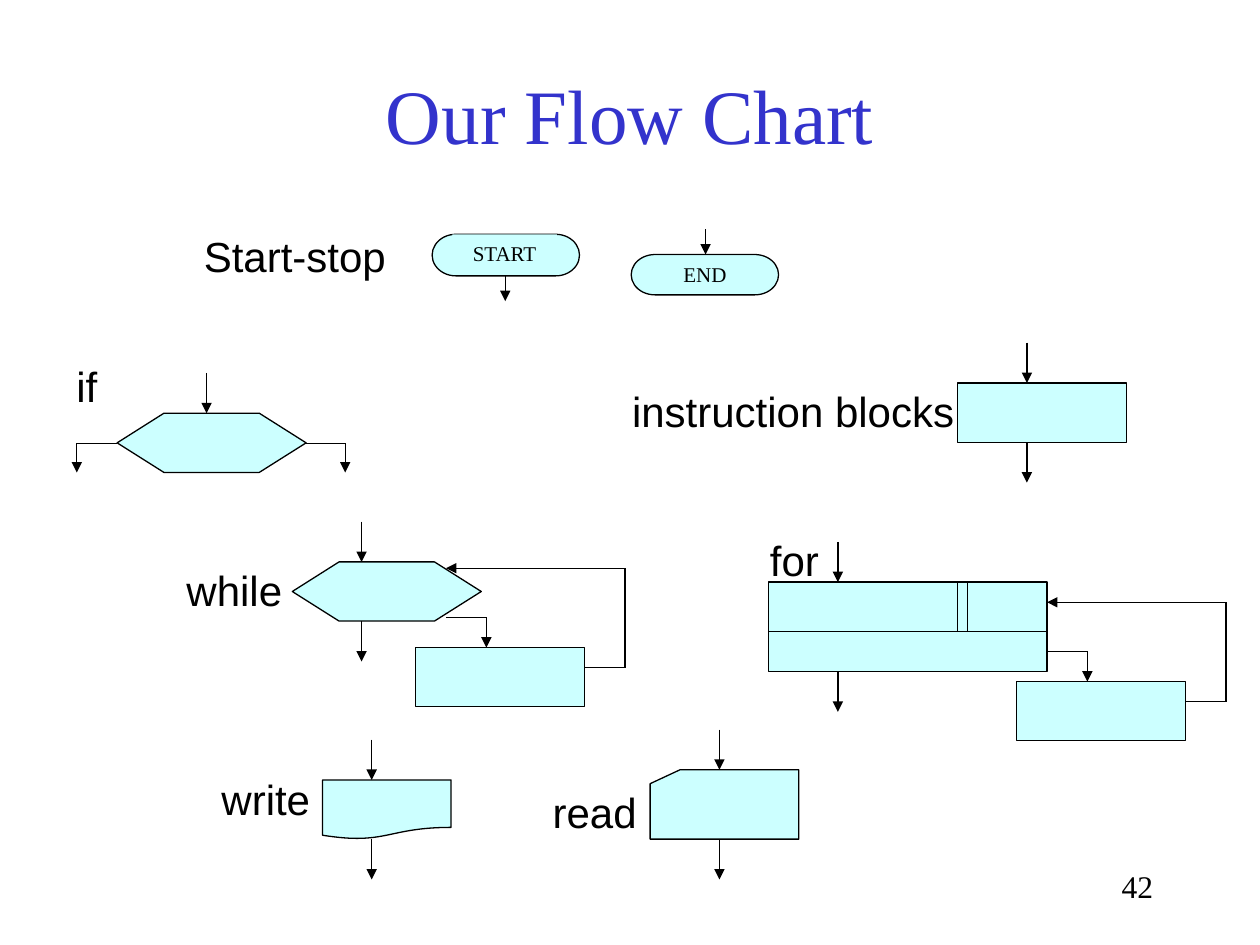
import itertools
import pptx
import pptx.util
from lxml import etree
from pptx.dml.color import RGBColor
from pptx.enum.shapes import MSO_CONNECTOR, MSO_SHAPE
from pptx.enum.text import MSO_ANCHOR, MSO_AUTO_SIZE, PP_ALIGN
from pptx.oxml.ns import qn

TITLE_BLUE = RGBColor(0x33, 0x33, 0xCC)
SYMBOL_FILL = RGBColor(0xCC, 0xFF, 0xFF)
BLACK = RGBColor(0, 0, 0)
SERIF, SANS = "Times New Roman", "Arial"

# The slide is a grid of 10 columns by 7.5 rows; all lengths are in cells
COLUMNS, ROWS = 10, 7.5
STUB = 0.32             # arrow into or out of a symbol
SHORT_STUB = 0.2        # the same for START and END
BODY = (1.34, 0.47)     # plain instruction block

TITLE = "Our Flow Chart"
PAGE_NUMBER = "42"

# Symbol, left, top, width, height, x of the flow line, arrow in, arrow out
SYMBOLS = [
    (MSO_SHAPE.RECTANGLE, 7.6, 3.04, *BODY, 8.15, STUB, STUB),
    (MSO_SHAPE.HEXAGON, 0.93, 3.28, 1.5, 0.47, 1.64, STUB, 0),
    (MSO_SHAPE.HEXAGON, 2.32, 4.46, 1.5, 0.47, 2.87, STUB, STUB),
    (MSO_SHAPE.RECTANGLE, 6.1, 4.62, 2.21, 0.71, 6.65, STUB, STUB),
    (MSO_SHAPE.FLOWCHART_CARD, 5.16, 6.11, 1.18, 0.55, 5.71, STUB, STUB),
    (MSO_SHAPE.FLOWCHART_DOCUMENT, 2.56, 6.19, 1.02, 0.47, 2.95, STUB, STUB),
    (MSO_SHAPE.FLOWCHART_TERMINATOR, 3.43, 1.86, 1.17, 0.33, 4.01, 0, SHORT_STUB),
    (MSO_SHAPE.FLOWCHART_TERMINATOR, 5.01, 2.02, 1.17, 0.32, 5.6, SHORT_STUB, 0),
]

# Text, left, top, width
LABELS = [
    ("Start-stop", 1.52, 1.78, 1.64),
    ("instruction blocks", 4.92, 3.01, 2.75),
    ("if", 0.51, 2.81, 0.36),
    ("for", 6.01, 4.19, 0.59),
    ("while", 1.38, 4.43, 0.96),
    ("read", 4.29, 6.19, 0.86),
    ("write", 1.66, 6.09, 0.9),
]
TERMINAL_TEXTS = [("START", 3.59, 1.86), ("END", 5.18, 2.03)]

# Points where each loop leaves its symbol: while, for
LOOP_EXITS = [(3.54, 4.9), (8.31, 5.17)]

# Branches of the if symbol
BRANCHES = [[(0.93, 3.52), (0.61, 3.52), (0.61, 3.75)],
            [(2.42, 3.52), (2.74, 3.52), (2.74, 3.75)]]

# Inner lines of the for symbol
DIVIDERS = [[(6.1, 5.01), (8.31, 5.01)],
            [(7.6, 4.62), (7.6, 5.01)],
            [(7.68, 4.62), (7.68, 5.01)]]

deck = pptx.Presentation()
deck.slide_width = pptx.util.Inches(10)
deck.slide_height = pptx.util.Inches(7.5)
slide = deck.slides.add_slide(deck.slide_layouts[5])


def across(columns):
    return round(deck.slide_width * columns / COLUMNS)


def down(rows):
    return round(deck.slide_height * rows / ROWS)


def place(left, top, width, height):
    return across(left), down(top), across(width), down(height)


def write(frame, text, size, font, color, align=PP_ALIGN.CENTER,
          anchor=MSO_ANCHOR.TOP, wrap=True):
    frame.text = text
    frame.word_wrap = wrap
    frame.auto_size = MSO_AUTO_SIZE.NONE
    frame.vertical_anchor = anchor
    paragraph = frame.paragraphs[0]
    paragraph.alignment = align
    paragraph.font.size = pptx.util.Pt(size)
    paragraph.font.name = font
    paragraph.font.color.rgb = color


def add_symbol(kind, box, outlined=True):
    symbol = slide.shapes.add_shape(kind, *place(*box))
    symbol.shadow.inherit = False
    symbol.fill.solid()
    symbol.fill.fore_color.rgb = SYMBOL_FILL
    if outlined:
        symbol.line.color.rgb = BLACK
        symbol.line.width = pptx.util.Pt(0.75)
    else:
        symbol.line.fill.background()
    return symbol


def add_route(points, arrow=True):
    """Join the points with straight lines, the last one with an arrowhead."""
    for (x1, y1), (x2, y2) in itertools.pairwise(points):
        line = slide.shapes.add_connector(
            MSO_CONNECTOR.STRAIGHT, across(x1), down(y1), across(x2), down(y2))
        line.line.color.rgb = BLACK
        line.line.width = pptx.util.Pt(0.75)
        etree.SubElement(line._element.spPr, qn("a:effectLst"))
    if arrow:
        etree.SubElement(line.line._get_or_add_ln(), qn("a:tailEnd"), type="triangle")


# Title
title = slide.shapes.title
title.left, title.top, title.width, title.height = place(0.75, 0.28, 8.5, 1.25)
write(title.text_frame, TITLE, 44, SERIF, TITLE_BLUE, anchor=MSO_ANCHOR.MIDDLE)

# Symbols with their incoming and outgoing arrows
for kind, left, top, width, height, flow, arrow_in, arrow_out in SYMBOLS:
    symbol = add_symbol(kind, (left, top, width, height))
    if kind == MSO_SHAPE.HEXAGON:
        symbol.adjustments[0] = 0.79
    bottom = top + height
    if arrow_in:
        add_route([(flow, top - arrow_in), (flow, top)])
    if arrow_out:
        add_route([(flow, bottom), (flow, bottom + arrow_out)])

for text, left, top in TERMINAL_TEXTS:
    terminal = add_symbol(MSO_SHAPE.RECTANGLE, (left, top, 0.83, 0.3), outlined=False)
    write(terminal.text_frame, text, 12, SERIF, BLACK)

for branch in BRANCHES:
    add_route(branch)
for divider in DIVIDERS:
    add_route(divider, arrow=False)

# Loop bodies: out of the symbol, through the body and back
for x, y in LOOP_EXITS:
    body_left, body_top = x - 0.24, y + 0.24
    body_right, leave = body_left + BODY[0], body_top + 0.16
    far, back = body_right + STUB, y - 0.39
    add_symbol(MSO_SHAPE.RECTANGLE, (body_left, body_top, *BODY))
    add_route([(x, y), (x + STUB, y), (x + STUB, body_top)])
    add_route([(body_right, leave), (far, leave), (far, back), (x, back)])

# Labels and page number
for text, left, top, width in LABELS:
    label = slide.shapes.add_textbox(*place(left, top, width, 0.5))
    write(label.text_frame, text, 24, SANS, BLACK, wrap=False)

number = slide.shapes.add_textbox(*place(7.17, 6.83, 2.08, 0.5))
write(number.text_frame, PAGE_NUMBER, 18, SERIF, BLACK, align=PP_ALIGN.RIGHT)

deck.save("out.pptx")
